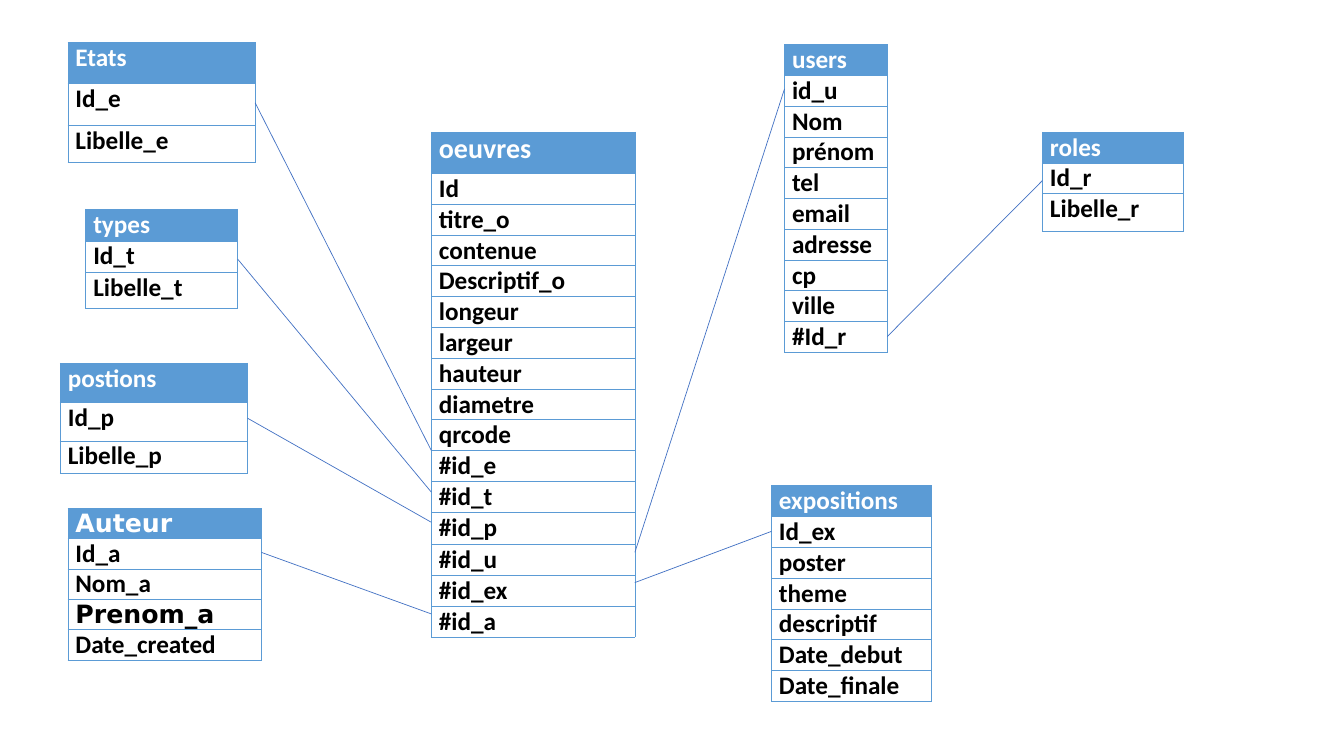
from lxml.etree import SubElement
from pptx import Presentation
from pptx.dml.color import RGBColor
from pptx.enum.shapes import MSO_CONNECTOR
from pptx.enum.text import MSO_ANCHOR
from pptx.oxml import parse_xml
from pptx.oxml.ns import nsdecls, qn
from pptx.util import Cm, Pt

HEADER_BLUE = RGBColor(0x5B, 0x9B, 0xD5)
LINK_BLUE = RGBColor(0x44, 0x72, 0xC4)
WHITE = RGBColor(0xFF, 0xFF, 0xFF)
BLACK = RGBColor(0x00, 0x00, 0x00)
BORDER_WIDTH = Pt(0.5)
DEJAVU_LABELS = {"Auteur", "Prenom_a"}
TALLER_ROWS = {"#id_t": 0.79, "#id_p": 0.79, "#id_u": 0.79}

# name: (left, top, width, header height, row height, last row height, fields), in cm
ENTITIES = {
    "oeuvres": (10.87, 3.33, 5.13, 1.04, 0.77, 0.77, [
        "Id", "titre_o", "contenue", "Descriptif_o", "longeur", "largeur", "hauteur",
        "diametre", "qrcode", "#id_e", "#id_t", "#id_p", "#id_u", "#id_ex", "#id_a"]),
    "Etats": (1.71, 1.07, 4.72, 1.04, 1.04, 0.94, ["Id_e", "Libelle_e"]),
    "types": (2.16, 5.27, 3.83, 0.8, 0.8, 0.89, ["Id_t", "Libelle_t"]),
    "postions": (1.52, 9.15, 4.72, 0.98, 0.98, 0.82, ["Id_p", "Libelle_p"]),
    "users": (19.77, 1.12, 2.59, 0.77, 0.77, 0.77, [
        "id_u", "Nom", "prénom", "tel", "email", "adresse", "cp", "ville", "#Id_r"]),
    "roles": (26.27, 3.33, 3.56, 0.77, 0.77, 0.94, ["Id_r", "Libelle_r"]),
    "expositions": (19.44, 12.24, 4.02, 0.77, 0.77, 0.77, [
        "Id_ex", "poster", "theme", "descriptif", "Date_debut", "Date_finale"]),
    "Auteur": (1.71, 12.82, 4.88, 0.74, 0.74, 0.74, [
        "Id_a", "Nom_a", "Prenom_a", "Date_created"]),
}

# (left entity, height of the line's start, right entity, height of its end), in cm
LINKS = [
    ("Etats", 2.59, "oeuvres", 11.35),
    ("types", 6.53, "oeuvres", 12.4),
    ("postions", 10.54, "oeuvres", 13.16),
    ("Auteur", 13.92, "oeuvres", 15.47),
    ("oeuvres", 13.92, "users", 2.24),
    ("oeuvres", 14.68, "expositions", 13.39),
    ("users", 8.48, "roles", 4.55),
]


def add_borders(cell):
    properties = cell._tc.get_or_add_tcPr()
    for position, side in enumerate(("lnL", "lnR", "lnT", "lnB")):
        border = parse_xml(
            f'<a:{side} {nsdecls("a")} w="{BORDER_WIDTH}"><a:solidFill>'
            f'<a:srgbClr val="{HEADER_BLUE}"/></a:solidFill></a:{side}>')
        properties.insert(position, border)


def fill_cell(cell, label, size, text_color, fill_color):
    cell_format = {
        "margin_left": Cm(0.19), "margin_right": Cm(0.19),
        "margin_top": 0, "margin_bottom": 0, "vertical_anchor": MSO_ANCHOR.TOP,
    }
    for name, value in cell_format.items():
        setattr(cell, name, value)
    cell.fill.solid()
    cell.fill.fore_color.rgb = fill_color
    add_borders(cell)
    span = cell.text_frame.paragraphs[0].add_run()
    span.text = label
    font_format = {
        "name": "DejaVu Sans" if label in DEJAVU_LABELS else "Calibri",
        "size": Pt(size), "bold": True,
    }
    for name, value in font_format.items():
        setattr(span.font, name, value)
    span.font.color.rgb = text_color


deck = Presentation()
deck.slide_width, deck.slide_height = Cm(33.87), Cm(19.05)
page = deck.slides.add_slide(deck.slide_layouts[6])

frames = {}
for entity, (left, top, width, header, row, last, fields) in ENTITIES.items():
    heights = [header, *(TALLER_ROWS.get(field, row) for field in fields[:-1]), last]
    frame = page.shapes.add_table(
        len(heights), 1, Cm(left), Cm(top), Cm(width), Cm(sum(heights)))
    frames[entity] = frame
    table = frame.table
    table.first_row = table.horz_banding = False
    for index, (label, height) in enumerate(zip([entity] + fields, heights)):
        table.rows[index].height = Cm(height)
        is_header = index == 0
        fill_cell(
            table.cell(index, 0), label,
            20 if label == "oeuvres" else 18,
            WHITE if is_header else BLACK,
            HEADER_BLUE if is_header else WHITE)

for source, start, target, end in LINKS:
    source_frame = frames[source]
    link = page.shapes.add_connector(
        MSO_CONNECTOR.STRAIGHT,
        source_frame.left + source_frame.width, Cm(start),
        frames[target].left, Cm(end))
    link.line.color.rgb = LINK_BLUE
    link.line.width = BORDER_WIDTH
    SubElement(link._element.spPr, qn("a:effectLst"))

deck.save("out.pptx")
